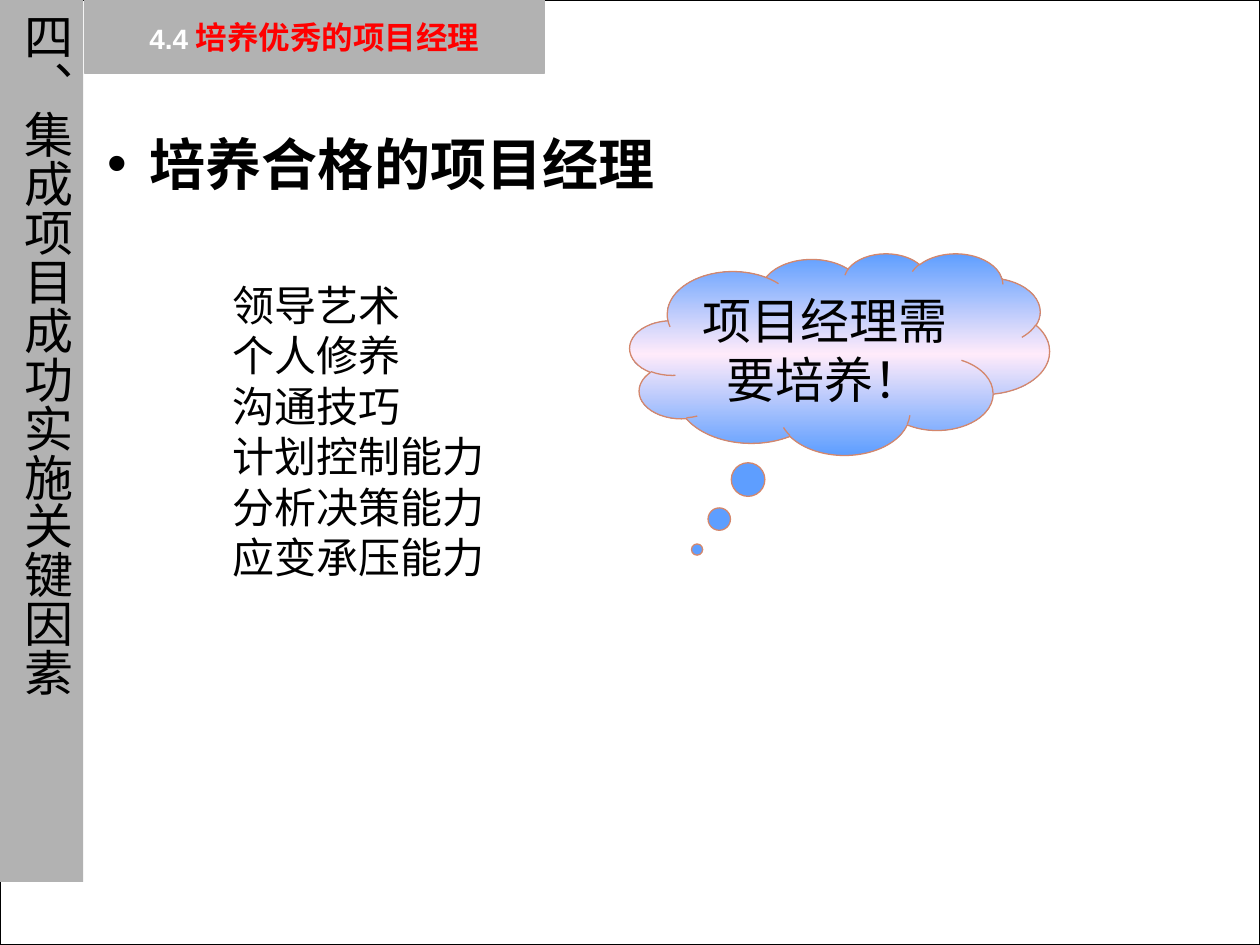
import copy
from dataclasses import dataclass

import pptx
import pptx.dml.color
import pptx.enum.shapes
import pptx.enum.text
import pptx.oxml
import pptx.oxml.ns
import pptx.util

Pt = pptx.util.Pt
Kind = pptx.enum.shapes.MSO_SHAPE
Align = pptx.enum.text.PP_ALIGN
Anchor = pptx.enum.text.MSO_ANCHOR
qn = pptx.oxml.ns.qn

HUES = {
    "white": "FFFFFF", "black": "000000", "grey": "B2B2B2", "red": "FF0000",
    "blue": "5E9EFF", "pink": "FFEBFA", "rust": "D4876C",
}
SKILLS = ["领导艺术", "个人修养", "沟通技巧", "计划控制能力", "分析决策能力", "应变承压能力"]


@dataclass
class Box:
    left: float
    top: float
    width: float
    height: float
    kind: Kind = Kind.RECTANGLE
    fill: str | None = None
    line: str | None = None

    def place(self) -> list:
        return [Pt(v) for v in (self.left, self.top, self.width, self.height)]


PAGE = Box(0, 0, 720, 540, fill="white", line="black")
SIDE = Box(0, 0, 47.5, 504, fill="grey")
HEAD = Box(48.24, 0, 262.8, 41.76, fill="grey", line="grey")
TITLE = Box(54, 48.24, 612, 90)
LIST = Box(54, 156.24, 612, 324)
CLOUD = Box(360, 144.72, 239.76, 115.2, Kind.CLOUD_CALLOUT, line="rust")


def tint(name: str) -> pptx.dml.color.RGBColor:
    return pptx.dml.color.RGBColor.from_string(HUES[name])


def draw(slide, box: Box):
    shape = slide.shapes.add_shape(box.kind, *box.place())
    shape.shadow.inherit = False
    if box.fill:
        shape.fill.solid()
        shape.fill.fore_color.rgb = tint(box.fill)
    if box.line:
        shape.line.color.rgb = tint(box.line)
        shape.line.width = Pt(0.75)
    else:
        shape.line.fill.background()
    return shape


def add_run(para, text: str, *, size: float, font: str = "Arial Narrow",
            hue: str = "black", bold: bool = False) -> None:
    run = para.add_run()
    run.text = text
    run.font.size = Pt(size)
    run.font.name = font
    run.font.bold = bold
    run.font.color.rgb = tint(hue)


def set_frame(shape, *, anchor=Anchor.MIDDLE, side: float = 7.2, edge: float = 3.6):
    frame = shape.text_frame
    frame.word_wrap = True
    frame.auto_size = pptx.enum.text.MSO_AUTO_SIZE.NONE
    frame.vertical_anchor = anchor
    frame.margin_left = frame.margin_right = Pt(side)
    frame.margin_top = frame.margin_bottom = Pt(edge)
    return frame


def indent(para, left: float, first: float = 0):
    props = para._p.get_or_add_pPr()
    props.set("marL", str(Pt(left)))
    props.set("indent", str(Pt(first)))
    return props


def fade(shape, edge: str, mid: str) -> None:
    """Fill from edge to mid and back to edge, top to bottom."""
    shape.fill.gradient()
    shape.fill.gradient_angle = 270
    stops = shape.fill.gradient_stops
    for stop, hue, pos in zip(stops, (edge, mid), (0, 0.5)):
        stop.color.rgb = tint(hue)
        stop.position = pos
    group = shape._element.spPr.find(".//" + qn("a:gsLst"))
    group.append(copy.deepcopy(group[0]))
    shape.fill.gradient_stops[2].position = 1


def add_side(slide) -> None:
    frame = set_frame(draw(slide, SIDE), anchor=Anchor.TOP, side=3.6, edge=7.2)
    frame._txBody.bodyPr.set("vert", "eaVert")
    para = frame.paragraphs[0]
    para.alignment = Align.CENTER
    para.space_before = Pt(17.5)
    add_run(para, "四、集成项目成功实施关键因素", size=28)


def add_head(slide) -> None:
    para = set_frame(draw(slide, HEAD), edge=7.2).paragraphs[0]
    para.alignment = Align.CENTER
    indent(para, 36, -36)
    add_run(para, "4.4 ", size=16, font="Arial", hue="white", bold=True)
    add_run(para, "培养优秀的项目经理", size=18, hue="red", bold=True)


def add_title(slide) -> None:
    title = slide.shapes.title
    slide.shapes._spTree.append(title._element)  # bring in front of the page frame
    title.left, title.top, title.width, title.height = TITLE.place()
    para = set_frame(title).paragraphs[0]
    para.alignment = Align.LEFT
    props = indent(para, 24.5, -24.5)
    for tag, key, value in (("a:buFont", "typeface", "Arial"), ("a:buChar", "char", "•")):
        node = pptx.oxml.parse_xml(f"<{tag} {pptx.oxml.ns.nsdecls('a')}/>")
        node.set(key, value)
        props.append(node)
    add_run(para, "培养合格的项目经理", size=32, font="Times New Roman", bold=True)


def add_list(slide) -> None:
    frame = set_frame(slide.shapes.add_textbox(*LIST.place()), anchor=Anchor.TOP)
    for i, skill in enumerate(SKILLS):
        para = frame.add_paragraph() if i else frame.paragraphs[0]
        indent(para, 72)
        add_run(para, skill, size=24, font="Times New Roman")


def add_cloud(slide) -> None:
    cloud = draw(slide, CLOUD)
    cloud.adjustments[0] = -0.34
    cloud.adjustments[1] = 0.97
    fade(cloud, "blue", "pink")
    para = set_frame(cloud).paragraphs[0]
    para.alignment = Align.CENTER
    add_run(para, "项目经理需要培养！", size=28)


def main() -> None:
    deck = pptx.Presentation()
    deck.slide_width, deck.slide_height = Pt(PAGE.width), Pt(PAGE.height)
    slide = deck.slides.add_slide(deck.slide_layouts[5])
    draw(slide, PAGE)
    for add in (add_side, add_head, add_title, add_list, add_cloud):
        add(slide)
    deck.save("out.pptx")


if __name__ == "__main__":
    main()
